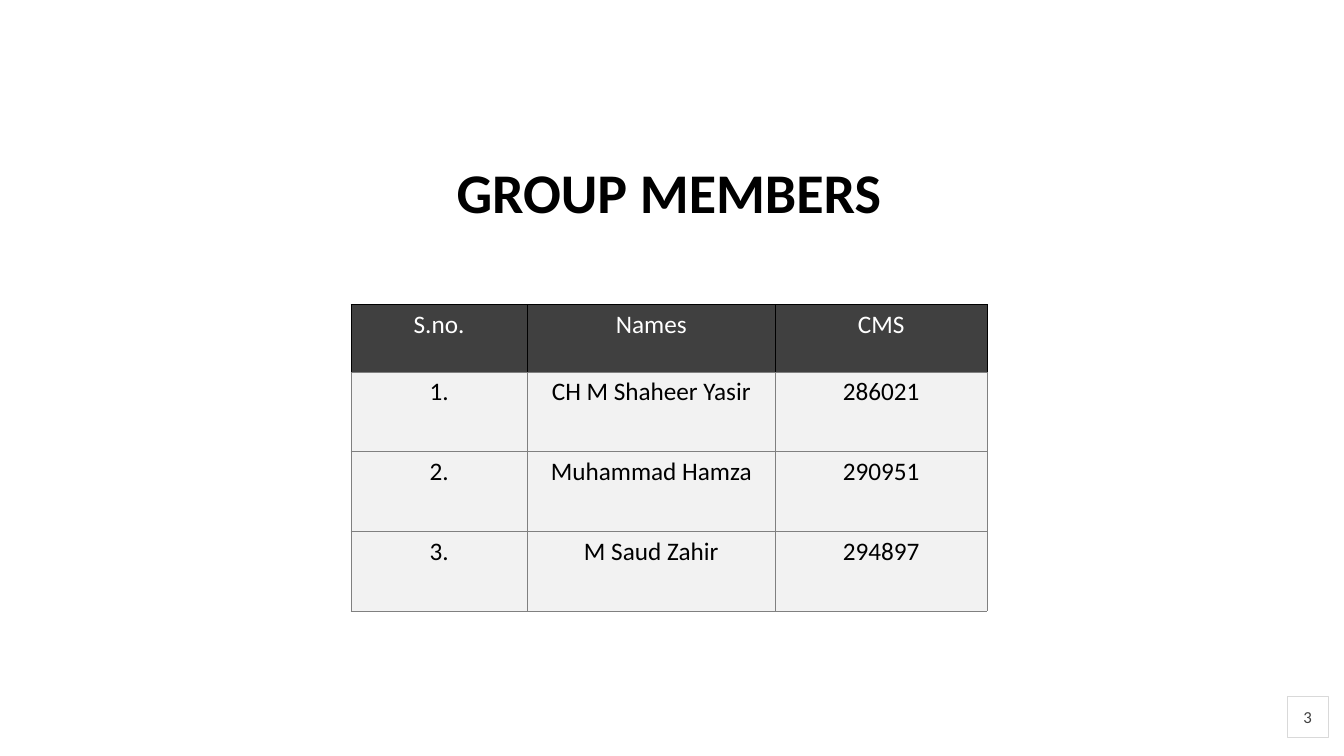
import pptx
import pptx.dml.color
import pptx.enum.shapes
import pptx.enum.text
import pptx.oxml
import pptx.oxml.ns
import pptx.util

WIDTH, HEIGHT = 13.33, 7.5
FONT = "Calibri"
TITLE = "GROUP MEMBERS"
PAGE_NUMBER = "3"
MEMBERS = [
    ("S.no.", "Names", "CMS"),
    ("1.", "CH M Shaheer Yasir", "286021"),
    ("2.", "Muhammad Hamza", "290951"),
    ("3.", "M Saud Zahir", "294897"),
]
COLUMN_WIDTHS = [1.75, 2.46, 2.1]
ROW_HEIGHTS = [0.67] + [0.79] * 3
TABLE_LEFT, TABLE_TOP = 3.48, 3.02
BADGE_SIZE = 0.4
HEADER_STYLE = {"fill": "404040", "text": "FFFFFF", "sides": "000000"}
BODY_STYLE = {"fill": "F2F2F2", "text": "000000", "sides": "808080"}
GRID_COLOR = "808080"

inches = pptx.util.Inches
center = pptx.enum.text.PP_ALIGN.CENTER


def color(value):
    """Turn a hex string into a colour."""
    return pptx.dml.color.RGBColor.from_string(value)


def write(frame, text, size, shade, align=None, bold=False):
    """Put one styled paragraph into a text frame."""
    para = frame.paragraphs[0]
    para.text = text
    para.alignment = align
    para.font.name = FONT
    para.font.size = pptx.util.Pt(size)
    para.font.bold = bold
    para.font.color.rgb = color(shade)


def add_border(cell, side, shade):
    """Draw a quarter-point line on one side of a cell."""
    cell._tc.get_or_add_tcPr().append(pptx.oxml.parse_xml(
        f'<a:ln{side} {pptx.oxml.ns.nsdecls("a")} w="3175"><a:solidFill>'
        f'<a:srgbClr val="{shade}"/></a:solidFill></a:ln{side}>'))


def add_title(page):
    """Add the heading."""
    box = page.shapes.add_textbox(inches(4.43), inches(1.51), inches(6.27), inches(0.77))
    box.text_frame.word_wrap = True
    write(box.text_frame, TITLE, 40, "000000", bold=True)


def add_members(page):
    """Add the table of members."""
    table = page.shapes.add_table(
        len(MEMBERS), len(COLUMN_WIDTHS), inches(TABLE_LEFT), inches(TABLE_TOP),
        inches(sum(COLUMN_WIDTHS)), inches(sum(ROW_HEIGHTS))).table
    table.horz_banding = False
    for column, width in zip(table.columns, COLUMN_WIDTHS):
        column.width = inches(width)
    for index, (row, height, member) in enumerate(zip(table.rows, ROW_HEIGHTS, MEMBERS)):
        row.height = inches(height)
        style = BODY_STYLE if index else HEADER_STYLE
        for cell, text in zip(row.cells, member):
            write(cell.text_frame, text, 18, style["text"], center)
            for side in "LRT":
                shade = GRID_COLOR if side == "T" and index else style["sides"]
                add_border(cell, side, shade)
            add_border(cell, "B", GRID_COLOR)
            cell.fill.solid()
            cell.fill.fore_color.rgb = color(style["fill"])


def add_page_number(page):
    """Add the boxed page number in the corner."""
    badge = page.shapes.add_shape(
        pptx.enum.shapes.MSO_SHAPE.RECTANGLE, inches(12.77), inches(6.91),
        inches(BADGE_SIZE), inches(BADGE_SIZE))
    badge.shadow.inherit = False
    badge.fill.solid()
    badge.fill.fore_color.rgb = color("FFFFFF")
    badge.line.color.rgb = color("D9D9D9")
    badge.line.width = pptx.util.Pt(0.25)
    frame = badge.text_frame
    frame.margin_left = frame.margin_right = frame.margin_top = frame.margin_bottom = 0
    frame.vertical_anchor = pptx.enum.text.MSO_ANCHOR.MIDDLE
    write(frame, PAGE_NUMBER, 12, "404040", center)


def main():
    """Build the slide and save it."""
    deck = pptx.Presentation()
    deck.slide_width, deck.slide_height = inches(WIDTH), inches(HEIGHT)
    page = deck.slides.add_slide(deck.slide_layouts[6])
    add_page_number(page)
    add_title(page)
    add_members(page)
    deck.save("out.pptx")


if __name__ == "__main__":
    main()
